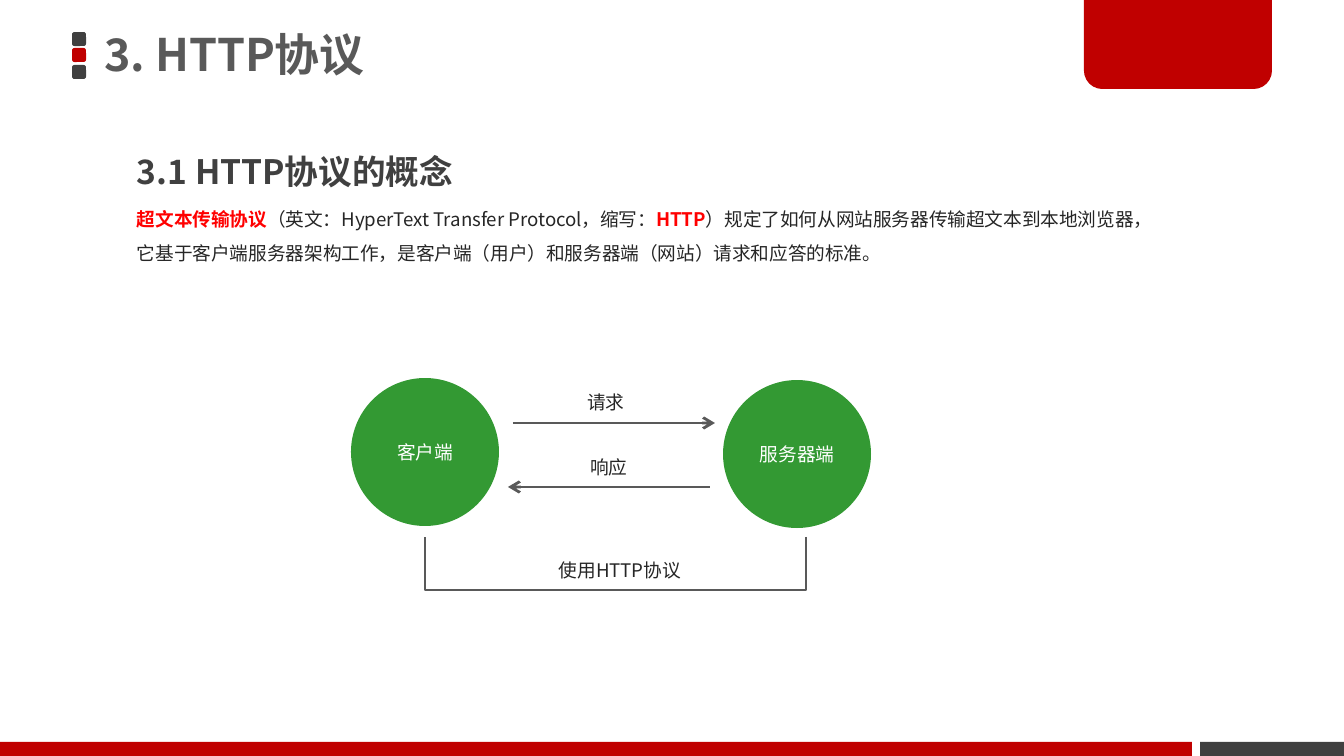
"""Builds a slide that explains the concept of the HTTP protocol."""
from lxml import etree
from pptx import Presentation
from pptx import util as u
from pptx.dml.color import RGBColor
from pptx.enum import shapes, text
from pptx.oxml import ns

EMU_PER_PX = 914400 / 134.4
FONT = "Noto Sans CJK SC"
COLORS = {
    "red": "C00000", "dark": "404040", "gray": "595959", "green": "339933",
    "ink": "262626", "key": "FF0000", "white": "FFFFFF",
}


def px(length):
    """Turn whole pixels into EMU."""
    return u.Emu(round(length * EMU_PER_PX))


def box(*lengths):
    """Turn several pixel lengths into EMU."""
    return [px(length) for length in lengths]


def color(name):
    """Look up a colour by its role."""
    return RGBColor.from_string(COLORS[name])


def style(paragraph, size, ink=None, bold=False, align=text.PP_ALIGN.LEFT, spacing=1.0):
    """Set the font and spacing of a whole paragraph."""
    font = paragraph.font
    font.name, font.size, font.bold = FONT, u.Pt(size), bold
    if ink:
        font.color.rgb = color(ink)
    etree.SubElement(font._element, ns.qn("a:ea"), typeface=FONT)
    paragraph.alignment, paragraph.line_spacing = align, spacing
    paragraph.space_before = u.Pt(0)


def set_frame(frame, anchor=text.MSO_ANCHOR.TOP, inset_x=13, inset_y=7):
    """Set wrapping, anchor and insets of a text frame."""
    frame.word_wrap, frame.auto_size = True, text.MSO_AUTO_SIZE.NONE
    frame.vertical_anchor = anchor
    frame.margin_left = frame.margin_right = px(inset_x)
    frame.margin_top = frame.margin_bottom = px(inset_y)


def place(holder, left, top, width, height):
    """Move a placeholder."""
    holder.left, holder.top, holder.width, holder.height = box(left, top, width, height)


def add_title(slide, wording):
    """Fill the title placeholder."""
    title = slide.shapes.title
    place(title, 93, -3, 792, 120)
    set_frame(title.text_frame, text.MSO_ANCHOR.MIDDLE, 11, 5)
    title.text_frame.text = wording
    style(title.text_frame.paragraphs[0], 24, "gray", True, spacing=0.9)


def add_definition(slide, pieces):
    """Fill the body placeholder with plain and highlighted pieces."""
    body = slide.placeholders[1]
    place(body, 124, 190, 1059, 81)
    set_frame(body.text_frame)
    paragraph = body.text_frame.paragraphs[0]
    style(paragraph, 10, spacing=1.5)
    properties = paragraph._p.get_or_add_pPr()
    properties.set("marL", "0")
    properties.set("indent", "0")
    properties.insert_element_before(
        etree.Element(ns.qn("a:buNone")), "a:tabLst", "a:defRPr", "a:extLst")
    for wording, is_key in pieces:
        run = paragraph.add_run()
        run.text, run.font.bold = wording, is_key
        run.font.color.rgb = color("key" if is_key else "ink")


def add_label(slide, wording, area, size=10, ink="ink", **options):
    """Add a text box with one paragraph."""
    frame = slide.shapes.add_textbox(*box(*area)).text_frame
    set_frame(frame)
    frame.text = wording
    style(frame.paragraphs[0], size, ink, **options)


def add_block(slide, kind, area, fill, corners=()):
    """Add a filled preset shape without outline."""
    block = slide.shapes.add_shape(kind, *box(*area))
    block.shadow.inherit = False
    block.fill.solid()
    block.fill.fore_color.rgb = color(fill)
    block.line.fill.background()
    for index, corner in enumerate(corners):
        block.adjustments[index] = corner
    return block


def add_node(slide, wording, left, top):
    """Add a green circle with a centred caption."""
    node = add_block(slide, shapes.MSO_SHAPE.OVAL, (left, top, 148, 148), "green")
    set_frame(node.text_frame, text.MSO_ANCHOR.MIDDLE)
    node.text_frame.text = wording
    style(node.text_frame.paragraphs[0], 10, "white", align=text.PP_ALIGN.CENTER)


def set_line(line):
    """Give a line the diagram's colour and width."""
    line.color.rgb = color("gray")
    line.width = u.Pt(1.5)


def add_arrow(slide, start, end, y):
    """Add a horizontal arrow that points at its end."""
    arrow = slide.shapes.add_connector(shapes.MSO_CONNECTOR.STRAIGHT, *box(start, y, end, y))
    set_line(arrow.line)
    etree.SubElement(arrow.line._get_or_add_ln(), ns.qn("a:tailEnd"), type="arrow")
    etree.SubElement(arrow._element.spPr, ns.qn("a:effectLst"))


def add_bracket(slide, left, top, right, bottom):
    """Add an open bracket below the two nodes."""
    builder = slide.shapes.build_freeform(*box(right, top))
    corners = [(right, bottom), (left, bottom), (left, top)]
    builder.add_line_segments([box(*corner) for corner in corners], close=False)
    bracket = builder.convert_to_shape()
    bracket.shadow.inherit = False
    bracket.fill.background()
    set_line(bracket.line)


def add_decoration(slide):
    """Add the title marks, the corner tab and the footer bars."""
    for row, fill in enumerate(("dark", "red", "dark")):
        area = (72, 32 + row * 33 // 2, 14, 14)
        add_block(slide, shapes.MSO_SHAPE.ROUNDED_RECTANGLE, area, fill, [0.17])
    add_block(slide, shapes.MSO_SHAPE.ROUND_2_SAME_RECTANGLE,
              (1084, -3, 188, 92), "red", [0, 0.2])
    add_block(slide, shapes.MSO_SHAPE.RECTANGLE, (0, 742, 1192, 14), "red")
    add_block(slide, shapes.MSO_SHAPE.RECTANGLE, (1200, 742, 144, 14), "dark")


def main():
    """Build and save the slide."""
    deck = Presentation()
    deck.slide_width, deck.slide_height = box(1344, 756)
    slide = deck.slides.add_slide(deck.slide_layouts[1])
    add_decoration(slide)
    add_title(slide, "3. HTTP协议")
    add_label(slide, "3.1 HTTP协议的概念", (124, 124, 516, 74), 18, "dark",
              bold=True, spacing=1.5)
    add_definition(slide, [
        ("超文本传输协议", True),
        ("（英文：HyperText Transfer Protocol，缩写：", False),
        ("HTTP", True),
        ("）规定了如何从网站服务器传输超文本到本地浏览器，它基于客户端服务器架构工作，"
         "是客户端（用户）和服务器端（网站）请求和应答的标准。", False),
    ])
    add_node(slide, "客户端", 351, 378)
    add_node(slide, "服务器端", 723, 380)
    add_arrow(slide, 513, 715, 423)
    add_label(slide, "请求", (574, 384, 95, 36))
    add_arrow(slide, 710, 508, 487)
    add_label(slide, "响应", (577, 449, 95, 36))
    add_bracket(slide, 425, 537, 806, 590)
    add_label(slide, "使用HTTP协议", (546, 552, 211, 36))
    deck.save("out.pptx")


if __name__ == "__main__":
    main()
